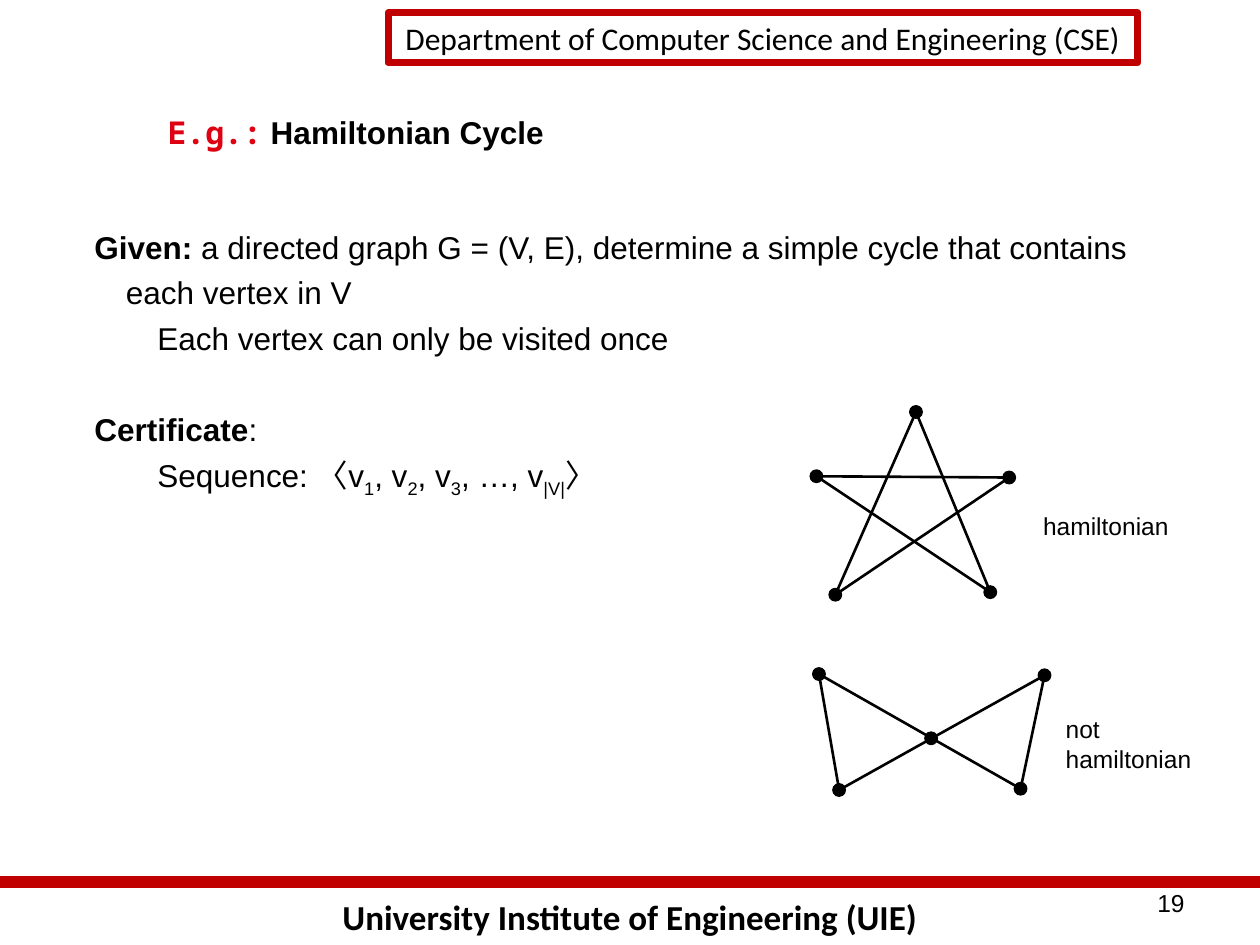
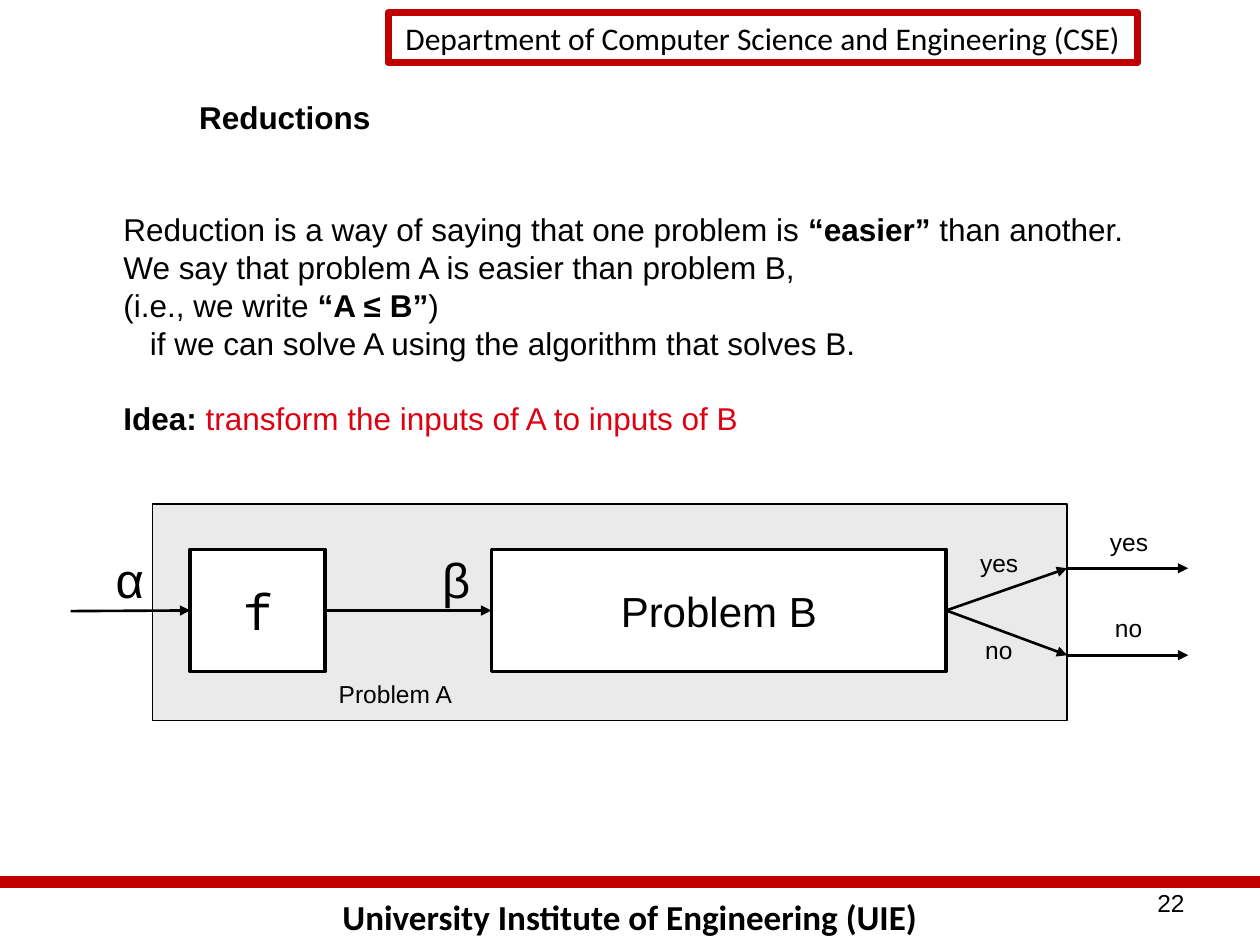
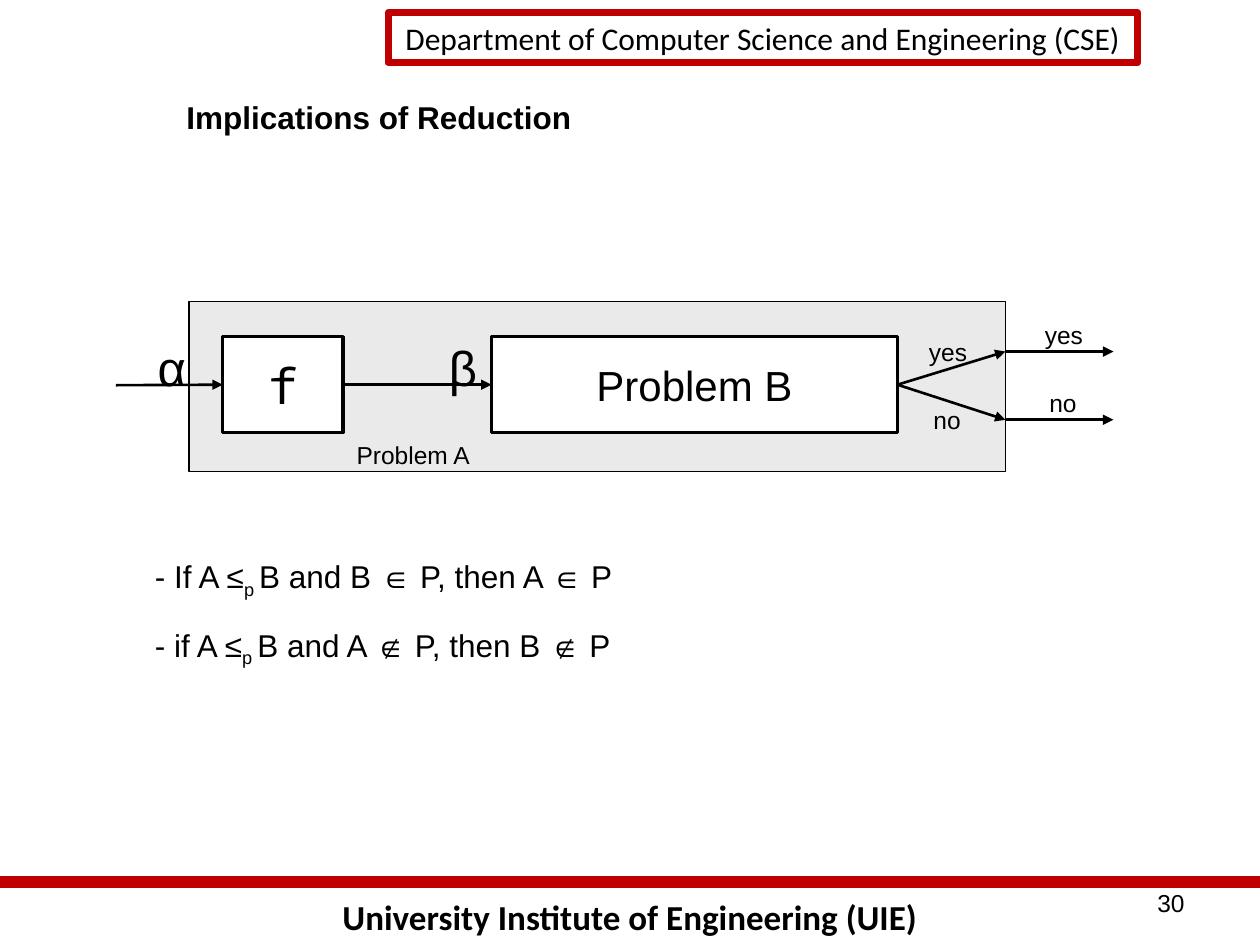
from lxml import etree
from pptx import Presentation
from pptx import util as u
from pptx.dml import color
from pptx.enum import shapes, text
from pptx.oxml import ns

BLACK, WHITE, CRIMSON, RED, GREY = "000000", "FFFFFF", "C00000", "DD0111", "EAEAEA"
SANS, MONO, HEADING = "Arial", "Noto Sans Mono", "Calibri"
BOLD = {"bold": True}
SUB = {"baseline": -25000}


def rgb(hex_code):
    return color.RGBColor.from_string(hex_code)


def style_run(run, size=18, font=SANS, fill=BLACK, bold=False, baseline=0):
    run.font.size = u.Pt(size)
    run.font.name = font
    run.font.bold = bold
    run.font.color.rgb = rgb(fill)
    if baseline:
        run._r.get_or_add_rPr().set("baseline", str(baseline))


def write(paragraph, pieces, **style):
    """Fill a paragraph with (wording, style) pieces."""
    for wording, extra in pieces:
        run = paragraph.add_run()
        run.text = wording
        style_run(run, **{**style, **extra})


def add_text(slide, x, y, w, h, lines, wrap=True, inset=True,
             align=text.PP_ALIGN.LEFT, anchor=text.MSO_ANCHOR.TOP, **style):
    box = slide.shapes.add_textbox(u.Inches(x), u.Inches(y), u.Inches(w), u.Inches(h))
    frame = box.text_frame
    frame.word_wrap = wrap
    frame.vertical_anchor = anchor
    if not wrap:
        frame.auto_size = text.MSO_AUTO_SIZE.SHAPE_TO_FIT_TEXT
    if not inset:
        frame.margin_left = frame.margin_right = 0
        frame.margin_top = frame.margin_bottom = 0
    for number, pieces in enumerate(lines):
        paragraph = frame.add_paragraph() if number else frame.paragraphs[0]
        paragraph.alignment = align
        write(paragraph, pieces, **style)
    return frame


def add_label(slide, x, y, w, h, *lines, size=14):
    add_text(slide, x, y, w, h, [[(line, {})] for line in lines], wrap=False, size=size)


def add_box(slide, x, y, w, h, fill, line, weight, label="", kind="RECTANGLE", **style):
    box = slide.shapes.add_shape(shapes.MSO_SHAPE[kind], u.Inches(x), u.Inches(y),
                                 u.Inches(w), u.Inches(h))
    box.shadow.inherit = False
    if fill:
        box.fill.solid()
        box.fill.fore_color.rgb = rgb(fill)
    else:
        box.fill.background()
    box.line.color.rgb = rgb(line)
    box.line.width = u.Pt(weight)
    if label:
        frame = box.text_frame
        frame.word_wrap = False
        frame.vertical_anchor = text.MSO_ANCHOR.MIDDLE
        frame.text = label
        frame.paragraphs[0].alignment = text.PP_ALIGN.CENTER
        style_run(frame.paragraphs[0].runs[0], **style)
    return box


def add_line(slide, start, end, line=BLACK, weight=1.5, arrow=False):
    connector = slide.shapes.add_connector(
        shapes.MSO_CONNECTOR.STRAIGHT, *(u.Inches(v) for v in (*start, *end)))
    connector.line.color.rgb = rgb(line)
    connector.line.width = u.Pt(weight)
    if arrow:
        etree.SubElement(connector.line._get_or_add_ln(), ns.qn("a:tailEnd"), type="triangle")
    etree.SubElement(connector._element.spPr, ns.qn("a:effectLst"))
    return connector


def indent(paragraph, left, first=0):
    properties = paragraph._p.get_or_add_pPr()
    properties.set("marL", str(u.Inches(left)))
    properties.set("indent", str(u.Inches(first)))


def add_frame(slide, page):
    """Department box, footer rule, institute name and page number."""
    add_text(slide, 0, 7.06, 10, 0.43, [[("University Institute of Engineering (UIE)", BOLD)]],
             align=text.PP_ALIGN.CENTER, size=20, font=HEADING)
    add_line(slide, (0, 7), (10, 7), CRIMSON, 7)
    add_box(slide, 3.08, 0.1, 5.95, 0.4, None, CRIMSON, 4,
            "Department of Computer Science and Engineering (CSE)", font=HEADING)
    add_text(slide, 7.17, 7, 2.33, 0.35, [[(str(page), {})]],
             align=text.PP_ALIGN.RIGHT, size=14)


def add_title(slide, x, y, h, pieces):
    add_text(slide, x, y, 9.5 - x, h, [pieces], inset=False,
             anchor=text.MSO_ANCHOR.MIDDLE, bold=True)


def add_body(slide, x, y, w, h, lines, indents, spacing=None):
    frame = add_text(slide, x, y, w, h, lines, inset=False)
    for paragraph, (left, first) in zip(frame.paragraphs, indents):
        indent(paragraph, left, first)
        if spacing:
            paragraph.line_spacing = spacing
    return frame.paragraphs


def add_graph(slide, x, y, vertices, edges, label_at, *label):
    """Vertices and label are given relative to the graph's corner."""
    points = [(x + dx, y + dy) for dx, dy in vertices]
    for a, b in edges:
        add_line(slide, points[a], points[b])
    for px, py in points:
        add_box(slide, px - 0.05, py - 0.05, 0.1, 0.1, BLACK, BLACK, 0.75, kind="OVAL")
    add_label(slide, x + label_at[0], y + label_at[1], 1.48, 0.4, *label)


def add_reduction(slide, x, y, w, h):
    """Problem A solved through f and Problem B, scaled to its box."""
    kx, ky = w / 7.26, h / 1.72

    def at(dx, dy):
        return x + dx * kx, y + dy * ky

    def step(dx, width, label, **style):
        return add_box(slide, *at(dx, 0.36), width * kx, 0.97 * ky, WHITE, BLACK, 2,
                       label, **style)

    def arrow(start, end):
        return add_line(slide, at(*start), at(*end), arrow=True)

    add_box(slide, x, y, w, h, GREY, BLACK, 0.75)
    transform = step(0.3, 1.07, "f", size=28, font=MONO)
    problem_b = step(2.69, 3.61, "Problem B", size=24)

    # Inputs
    arrow((-0.65, 0.85), (0.3, 0.85)).end_connect(transform, 1)
    converted = arrow((1.37, 0.85), (2.69, 0.85))
    converted.begin_connect(transform, 3)
    converted.end_connect(problem_b, 1)
    add_label(slide, *at(-0.39, 0.31), 0.45 * kx, 0.57 * ky, "α", size=28)
    add_label(slide, *at(2.2, 0.31), 0.41 * kx, 0.57 * ky, "β", size=28)

    # Answers, inside and outside Problem A
    for answer, exit_y, inner_x, outer_x, width, label_y in (
            ("yes", 0.51, 6.47, 7.5, 0.59, 0.3), ("no", 1.2, 6.51, 7.54, 0.48, 0.99)):
        arrow((6.3, 0.85), (7.26, exit_y)).begin_connect(problem_b, 3)
        arrow((7.26, exit_y), (8.22, exit_y))
        for label_x, top in ((inner_x, label_y), (outer_x, label_y - 0.17)):
            add_label(slide, *at(label_x, top), width * kx, 0.4 * ky, answer)
    add_label(slide, *at(1.38, 1.34), 1.37 * kx, 0.4 * ky, "Problem A")


def hamiltonian_slide(slide):
    add_frame(slide, 19)
    add_title(slide, 1.33, 0.54, 1.01,
              [("E.g.:", {"font": MONO, "fill": RED}), (" Hamiltonian Cycle", {})])
    sequence = [("Sequence: 〈v", {}), ("1", SUB), (", v", {}), ("2", SUB), (", v", {}),
                ("3", SUB), (", …, v", {}), ("|V|", SUB), ("〉", {})]
    top_level, detail = (0.5, -0.25), (0.75, 0)
    paragraphs = add_body(slide, 0.5, 1.75, 9, 4.35, [
        [("Given:", BOLD), (" a directed graph G = (V, E), determine a simple cycle "
                            "that contains each vertex in V", {})],
        [("Each vertex can only be visited once", {})],
        [("Certificate", BOLD), (":", {})],
        sequence,
    ], [top_level, detail, top_level, detail], spacing=1.2)
    paragraphs[2].space_before = u.Pt(26)

    # Star with a cycle, bow tie without one
    add_graph(slide, 6.43, 3.22,
              [(0.84, 0.05), (1.58, 0.57), (0.05, 0.56), (1.43, 1.48), (0.2, 1.5)],
              [(2, 1), (0, 3), (0, 4), (1, 4), (2, 3)], (1.75, 0.79), "hamiltonian")
    add_graph(slide, 6.45, 5.3,
              [(0.05, 0.05), (1.84, 0.06), (0.21, 0.97), (1.65, 0.96), (0.94, 0.56)],
              [(0, 3), (1, 2), (0, 2), (1, 3)], (1.91, 0.32), "not", "hamiltonian")


def reductions_slide(slide):
    add_frame(slide, 22)
    add_title(slide, 1.58, 0.3, 1.25, [("Reductions", {})])
    hanging = (0.5, -0.25)
    paragraphs = add_body(slide, 0.73, 1.67, 9.06, 2.2, [
        [("Reduction is a way of saying that one problem is ", {}), ("“easier”", BOLD),
         (" than another.", {})],
        [("We say that problem A is easier than problem B,", {})],
        [("(i.e., we write ", {}), ("“A ≤ B”", BOLD), (")", {})],
        [("if we can solve A using the algorithm that solves B.", {})],
        [("Idea: ", BOLD), ("transform the inputs of A to inputs of B", {"fill": RED})],
    ], [hanging, hanging, hanging, (0.46, 0), hanging])
    paragraphs[4].space_before = u.Pt(21.5)
    add_reduction(slide, 1.21, 4, 7.26, 1.72)


def implications_slide(slide):
    add_frame(slide, 30)
    add_title(slide, 1.48, 0.3, 1.25, [("Implications of Reduction", {})])
    add_reduction(slide, 1.5, 2.39, 6.48, 1.35)
    paragraphs = add_body(slide, 0.38, 4.42, 9, 1.66, [
        [("- If A ≤", {}), ("p ", SUB), ("B and B ∈ P, then A ∈ P", {})],
        [("- if A ≤", {}), ("p ", SUB), ("B and A ∉ P, then B ∉ P", {})],
    ], [(0.85, 0)] * 2)
    paragraphs[1].line_spacing = 1.6


def main():
    deck = Presentation()
    deck.slide_width, deck.slide_height = u.Inches(10), u.Inches(7.5)
    for build in (hamiltonian_slide, reductions_slide, implications_slide):
        build(deck.slides.add_slide(deck.slide_layouts[6]))
    deck.save("out.pptx")


if __name__ == "__main__":
    main()
